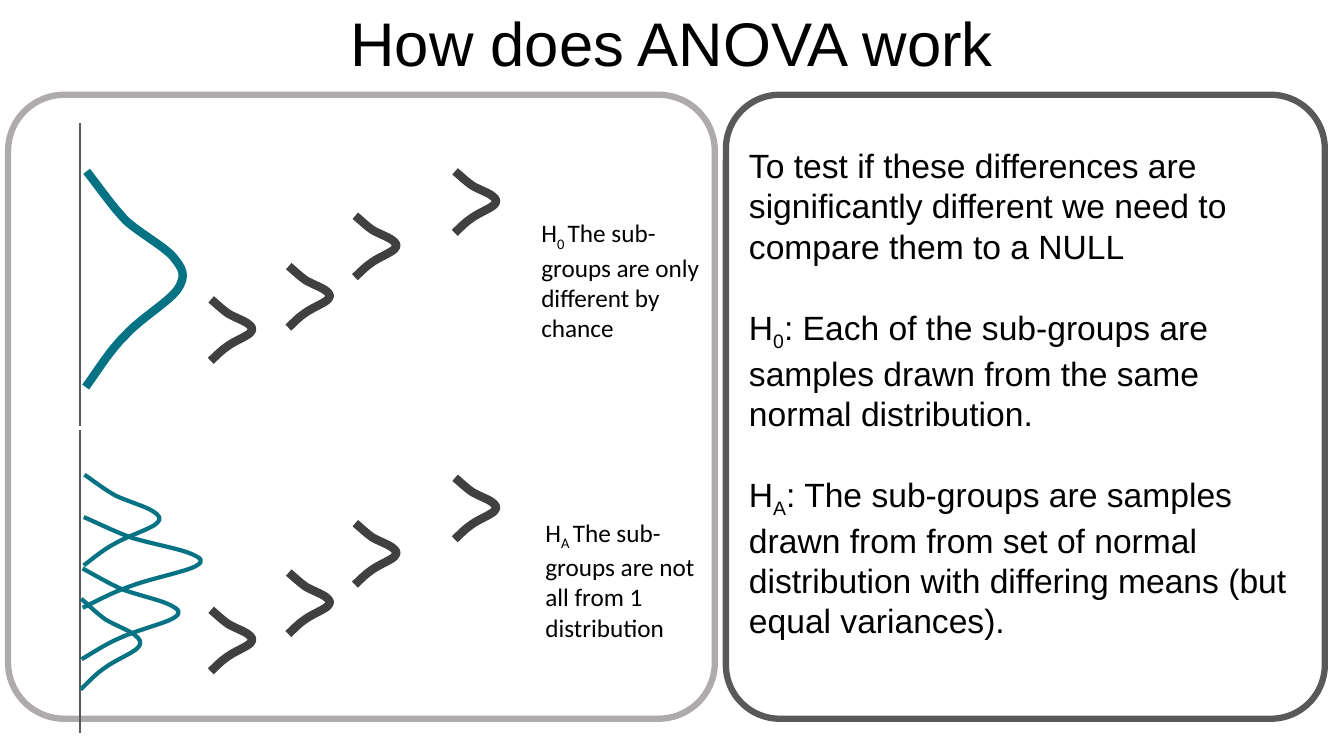
import pptx
import pptx.util
import pptx.dml.color
import pptx.enum.shapes
import pptx.enum.text
import pptx.oxml
import pptx.oxml.ns

inch, point = pptx.util.Inches, pptx.util.Pt
kinds = pptx.enum.shapes
name = pptx.oxml.ns.qn
TEAL, DARK, GREY, PALE, BLACK = "067384", "404040", "595959", "AFABAB", "000000"

deck = pptx.Presentation()
deck.slide_width, deck.slide_height = inch(13.33), inch(7.5)
slide = deck.slides.add_slide(deck.slide_layouts[5])
shapes = slide.shapes


def color(code):
    return pptx.dml.color.RGBColor.from_string(code)


def write(text, box, size, font="Arial", gap=0, align=None, hold=None):
    """Fill a text box, one paragraph a line; text between underscores is subscript."""
    if hold is None:
        hold = shapes.add_textbox(0, 0, 0, 0)
    hold.left, hold.top, hold.width, hold.height = map(inch, box)
    frame = hold.text_frame
    frame.word_wrap = True
    for row, line in enumerate(text.split("\n")):
        para = frame.add_paragraph() if row else frame.paragraphs[0]
        para.alignment = align
        if row:
            para.space_before = point(gap)
        for part, piece in enumerate(line.split("_")):
            run = para.add_run()
            run.text = piece
            run.font.size, run.font.name = point(size), font
            run.font.color.rgb = color(BLACK)
            if part % 2:
                run.font._element.set("baseline", "-25000")
    return frame


# Title
head = write("How does ANOVA work", (0, 0, 13.33, 0.84), 44,
             align=pptx.enum.text.PP_ALIGN.CENTER, hold=shapes.title)
head.vertical_anchor = pptx.enum.text.MSO_ANCHOR.MIDDLE

# Right panel and its wording, then left panel
for left, width, tint in ((7.2, 5.94, GREY), (0.08, 7.01, PALE)):
    panel = shapes.add_shape(kinds.MSO_SHAPE.ROUNDED_RECTANGLE,
                             inch(left), inch(0.94), inch(width), inch(6.19))
    panel.adjustments[0] = 0.09
    panel.shadow.inherit = False
    panel.fill.background()
    panel.line.color.rgb, panel.line.width = color(tint), point(4.5)
    if tint == GREY:
        write("To test if these differences are significantly different we need to "
              "compare them to a NULL\n"
              "H_0_: Each of the sub-groups are samples drawn from the same "
              "normal distribution.\n"
              "H_A_: The sub-groups are samples drawn from from set of normal "
              "distribution with differing means (but equal variances).",
              (7.33, 1.39, 5.69, 6.16), 24, gap=29)

# Axes
for top, end in ((1.22, 4.23), (4.27, 7.27)):
    axis = shapes.add_connector(kinds.MSO_CONNECTOR.STRAIGHT,
                                inch(0.79), inch(end), inch(0.79), inch(top))
    axis.line.color.rgb, axis.line.width = color(GREY), point(1.5)
    axis._element.spPr.append(pptx.oxml.parse_xml(
        '<a:effectLst xmlns:a="http://schemas.openxmlformats.org/drawingml/2006/main"/>'))

# One bell turned on its side, as Bezier knots in a unit box
bell = [(0.01, 0), (0.15, 0.08), (0.27, 0.16), (0.42, 0.23), (0.57, 0.29),
        (0.82, 0.35), (0.91, 0.4), (1, 0.45), (1.04, 0.48), (0.96, 0.54),
        (0.88, 0.6), (0.57, 0.68), (0.41, 0.76), (0.25, 0.83), (0.13, 0.92), (0, 1)]

# Left, top, width, height, colour, weight
curves = [(0.85, 1.7, 0.96, 2.14, TEAL, 6)]
for left, high, low in ((2.09, 2.97, 6.05), (2.86, 2.64, 5.68),
                        (3.52, 2.14, 5.19), (4.51, 1.7, 4.74)):
    curves += [(left, top, 0.41, 0.61, DARK, 6) for top in (high, low)]
for left, top, width in ((0.83, 4.71, 0.75), (0.82, 5.13, 1.17),
                         (0.81, 5.64, 0.96), (0.8, 5.94, 0.59)):
    curves.append((left, top, width, 0.9, TEAL, 3))

for left, top, width, height, tint, weight in curves:
    dots = [(inch(left + width * x), inch(top + height * y)) for x, y in bell]
    build = shapes.build_freeform(*dots[0])
    build.add_line_segments(dots[1:], close=False)
    curve = build.convert_to_shape()
    # Each three straight steps become one Bezier; the frame fits the drawn curve
    trace = next(curve._element.iter(name("a:path")))
    steps = trace.findall(name("a:lnTo"))
    for first in range(0, len(steps), 3):
        bend = trace.makeelement(name("a:cubicBezTo"), {})
        for step in steps[first:first + 3]:
            bend.append(step[0])
            trace.remove(step)
        trace.append(bend)
    curve.width = inch(width)
    trace.set("w", str(curve.width))
    curve.shadow.inherit = False
    curve.fill.background()
    curve.line.color.rgb, curve.line.width = color(tint), point(weight)

# Hypotheses beside the curves
write("H_0 _The sub-groups are only different by chance",
      (5.27, 2.11, 1.82, 1.31), 18, font="Calibri")
write("H_A _The sub-groups are not all from 1 distribution",
      (5.31, 5.08, 1.82, 1.31), 18, font="Calibri")

deck.save("out.pptx")
